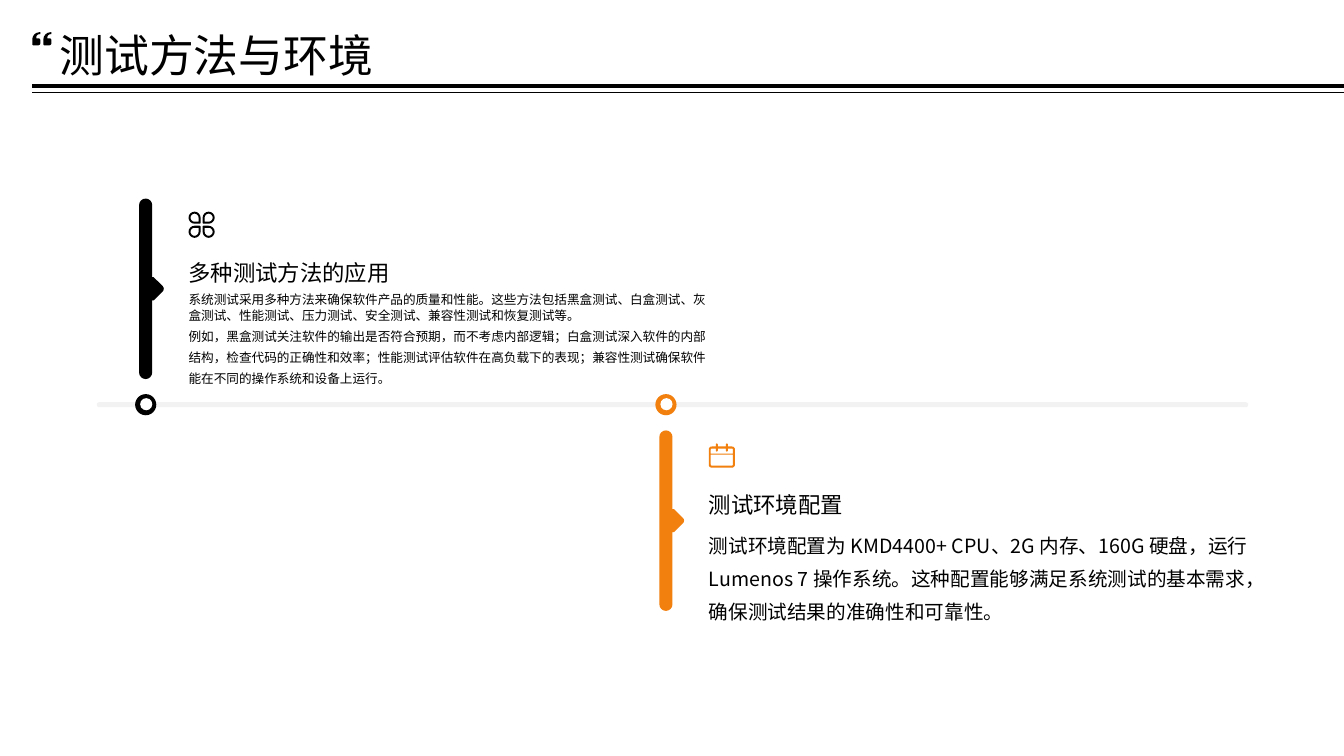
from pptx import Presentation
from pptx.dml.color import RGBColor
from pptx.enum.shapes import MSO_CONNECTOR, MSO_SHAPE
from pptx.enum.text import MSO_ANCHOR
from pptx.oxml.ns import qn
from pptx.util import Inches, Pt
from lxml.etree import SubElement

WIDTH, HEIGHT = 13.33, 7.5
FONT = "Noto Sans CJK SC"
BLACK, ORANGE, WHITE, GREY = "000000", "F1800F", "FFFFFF", "F2F2F2"
UNITS = 1000  # outline units per inch

TITLE = "测试方法与环境"
RULES = [(0.85, 3), (0.92, 0.75)]  # height on the slide, line width

# Outlines are lists of corners in thousandths of an inch: x, y, rounding
MARKER = [[(0, 0, 65), (130, 0, 65), (130, 780, 0), (145, 780, 0),
           (260, 895, 35), (145, 1010, 0), (130, 1010, 0),
           (130, 1790, 65), (0, 1790, 65)]]
QUOTE = [(0, 130, 10), (0, 0, 70), (80, 0, 0), (80, 20, 0),
         (40, 20, 30), (40, 60, 0), (80, 60, 20), (80, 130, 20)]
QUOTES = [[(x + shift, y, r) for x, y, r in QUOTE] for shift in (0, 110)]
PETAL = [(10, 10, 10), (130, 10, 60), (130, 130, 60), (10, 130, 60)]
PETAL_HOLE = [(30, 30, 0), (110, 30, 40), (110, 110, 40), (30, 110, 40)]
CLOVER = [[(130 + sx * x, 130 + sy * y, r) for x, y, r in outline]
          for sx in (-1, 1) for sy in (-1, 1) for outline in (PETAL, PETAL_HOLE)]
CALENDAR = [
    [(0, 30, 30), (70, 30, 0), (70, 0, 10), (90, 0, 10), (90, 30, 0),
     (170, 30, 0), (170, 0, 10), (190, 0, 10), (190, 30, 0),
     (260, 30, 30), (260, 240, 30), (0, 240, 30)],
    [(20, 50, 10), (70, 50, 0), (70, 80, 10), (90, 80, 10),
     (90, 50, 0), (170, 50, 0), (170, 80, 10), (190, 80, 10),
     (190, 50, 0), (240, 50, 10), (240, 100, 0), (20, 100, 0)],
    [(20, 110, 0), (240, 110, 0), (240, 220, 10), (20, 220, 10)],
]

STEPS = [
    {"left": 1.38, "top": 1.97, "width": 5.15, "color": BLACK, "icon": CLOVER,
     "heading": "多种测试方法的应用", "size": 9,
     "body": [
         ("系统测试采用多种方法来确保软件产品的质量和性能。这些方法包括黑盒测试、白盒测试、"
          "灰盒测试、性能测试、压力测试、安全测试、兼容性测试和恢复测试等。", 1.0),
         ("例如，黑盒测试关注软件的输出是否符合预期，而不考虑内部逻辑；白盒测试深入软件的内部"
          "结构，检查代码的正确性和效率；性能测试评估软件在高负载下的表现；兼容性测试确保软件"
          "能在不同的操作系统和设备上运行。", 1.4)]},
    {"left": 6.54, "top": 4.27, "width": 5.52, "color": ORANGE, "icon": CALENDAR,
     "heading": "测试环境配置", "size": 14,
     "body": [
         ("测试环境配置为 KMD4400+ CPU、2G 内存、160G 硬盘，运行 Lumenos 7 操作系统。"
          "这种配置能够满足系统测试的基本需求，确保测试结果的准确性和可靠性。", 1.4)]},
]


def rgb(color):
    return RGBColor.from_string(color)


def paint(shape, color):
    shape.fill.solid()
    shape.fill.fore_color.rgb = rgb(color)
    shape.line.fill.background()
    shape.shadow.inherit = False


def add_preset(slide, kind, left, top, width, height, color):
    shape = slide.shapes.add_shape(
        kind, Inches(left), Inches(top), Inches(width), Inches(height))
    paint(shape, color)
    return shape


def rounded_points(corners, steps=4):
    """Turn corners with rounding into a closed run of points."""
    points = []
    for i, (x, y, rounding) in enumerate(corners):
        if not rounding:
            points.append((x, y))
            continue
        ends = []
        for nx, ny, _ in (corners[i - 1], corners[(i + 1) % len(corners)]):
            share = rounding / ((nx - x) ** 2 + (ny - y) ** 2) ** 0.5
            ends.append((x + (nx - x) * share, y + (ny - y) * share))
        (ax, ay), (bx, by) = ends
        for step in range(steps + 1):
            t = step / steps
            start = (1 - t) ** 3 + 1.35 * t * (1 - t) ** 2
            end = t ** 3 + 1.35 * t ** 2 * (1 - t)
            middle = 1 - start - end
            points.append((start * ax + end * bx + middle * x,
                           start * ay + end * by + middle * y))
    return points


def add_outlines(slide, outlines, left, top, color):
    builder = None
    for corners in outlines:
        points = [(round(x), round(y)) for x, y in rounded_points(corners)]
        if builder is None:
            builder = slide.shapes.build_freeform(*points[0], scale=Inches(1) / UNITS)
        else:
            builder.move_to(*points[0])
        builder.add_line_segments(points[1:], close=True)
    paint(builder.convert_to_shape(Inches(left), Inches(top)), color)


def add_text(slide, paragraphs, left, top, width, height, size, anchor=MSO_ANCHOR.TOP):
    """Add a box of (text, line spacing) paragraphs."""
    box = slide.shapes.add_textbox(Inches(left), Inches(top), Inches(width), Inches(height))
    frame = box.text_frame
    frame.word_wrap = True
    frame.vertical_anchor = anchor
    frame.margin_left = frame.margin_right = frame.margin_top = frame.margin_bottom = 0
    for i, (text, spacing) in enumerate(paragraphs):
        paragraph = frame.add_paragraph() if i else frame.paragraphs[0]
        paragraph.line_spacing = spacing
        run = paragraph.add_run()
        run.text = text
        run.font.size = Pt(size)
        run.font.name = FONT
        run.font.color.rgb = rgb(BLACK)
        SubElement(run.font._element, qn("a:ea")).set("typeface", FONT)


def add_rule(slide, left, top, weight):
    rule = slide.shapes.add_connector(
        MSO_CONNECTOR.STRAIGHT, Inches(left), Inches(top), Inches(WIDTH), Inches(top))
    rule.line.color.rgb = rgb(BLACK)
    rule.line.width = Pt(weight)
    SubElement(rule._element.spPr, qn("a:effectLst"))


def add_step(slide, step):
    left, top, width, color = (step[key] for key in ("left", "top", "width", "color"))
    text_left = left + 0.49
    add_outlines(slide, MARKER, left, top, color)
    add_preset(slide, MSO_SHAPE.OVAL, left - 0.04, 3.91, 0.21, 0.21, color)
    add_preset(slide, MSO_SHAPE.OVAL, left + 0.01, 3.95, 0.12, 0.12, WHITE)
    add_outlines(slide, step["icon"], text_left, top + 0.13, color)
    add_text(slide, [(step["heading"], 1.1)], text_left, top + 0.43, width, 0.44, 16,
             MSO_ANCHOR.BOTTOM)
    add_text(slide, step["body"], text_left, top + 0.93, width, 0.98, step["size"])


def main():
    presentation = Presentation()
    presentation.slide_width, presentation.slide_height = Inches(WIDTH), Inches(HEIGHT)
    slide = presentation.slides.add_slide(presentation.slide_layouts[6])

    add_text(slide, [(TITLE, 1.2)], 0.59, 0.25, 12.17, 0.47, 32, MSO_ANCHOR.MIDDLE)
    add_outlines(slide, QUOTES, 0.32, 0.32, BLACK)
    for top, weight in RULES:
        add_rule(slide, 0.32, top, weight)

    timeline = add_preset(slide, MSO_SHAPE.ROUNDED_RECTANGLE, 0.96, 3.99, 11.42, 0.05, GREY)
    timeline.adjustments[0] = 0.5
    for step in STEPS:
        add_step(slide, step)

    presentation.save("out.pptx")


if __name__ == "__main__":
    main()
